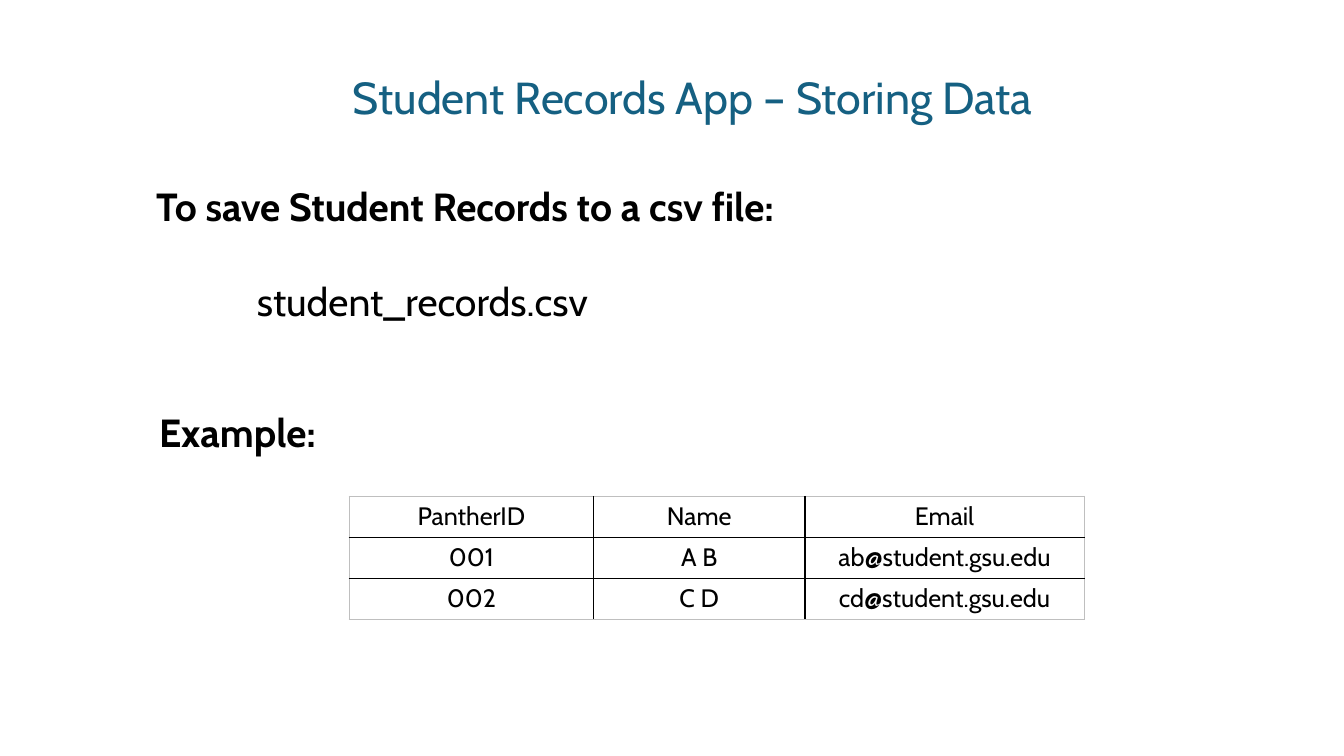
from lxml import etree
from pptx import Presentation
from pptx.dml.color import RGBColor
from pptx.enum import text as txt
from pptx.oxml import ns
from pptx.util import Pt

FONT = "Cabin"
TEAL = RGBColor(0x15, 0x60, 0x82)
BLACK = RGBColor(0, 0, 0)
WHITE = RGBColor(255, 255, 255)
GREY = RGBColor(0xBF, 0xBF, 0xBF)

RECORDS = [
    ("PantherID", "Name", "Email"),
    ("001", "A B", "ab@student.gsu.edu"),
    ("002", "C D", "cd@student.gsu.edu"),
]
WIDTHS = (174.5, 151, 199.5)
ROW = 29.3


def write(para, words, size=28, color=BLACK, bold=False,
          align=txt.PP_ALIGN.LEFT, before=0, indent=0):
    para.text = words
    para.alignment = align
    para.space_before = Pt(before)
    if indent:
        props = para._p.get_or_add_pPr()
        props.set("marL", str(Pt(indent)))
        props.set("indent", "0")
    font = para.font
    font.name, font.size, font.bold = FONT, Pt(size), bold
    font.color.rgb = color


def add_title(slide, words, left, top, width, height):
    title = slide.shapes.title
    title.left, title.top = Pt(left), Pt(top)
    title.width, title.height = Pt(width), Pt(height)
    frame = title.text_frame
    frame.word_wrap = False
    frame.vertical_anchor = txt.MSO_ANCHOR.MIDDLE
    write(frame.paragraphs[0], words, size=32, color=TEAL,
          align=txt.PP_ALIGN.CENTER)


def add_text(slide, left, top, width, height):
    """Return the frame of a new text box that does not wrap."""
    box = slide.shapes.add_textbox(Pt(left), Pt(top), Pt(width), Pt(height))
    box.text_frame.word_wrap = False
    return box.text_frame


def set_edges(cell, edges):
    """Draw cell borders from a dict of side letter to colour."""
    props = cell._tc.get_or_add_tcPr()
    for place, (side, color) in enumerate(edges.items()):
        line = etree.Element(ns.qn("a:ln" + side), w=str(Pt(1)))
        fill = etree.SubElement(line, ns.qn("a:solidFill"))
        etree.SubElement(fill, ns.qn("a:srgbClr"), val=str(color))
        props.insert(place, line)


def add_grid(slide, left, top, rows, widths, height):
    last_row, last_col = len(rows) - 1, len(widths) - 1
    table = slide.shapes.add_table(
        len(rows), len(widths), Pt(left), Pt(top),
        Pt(sum(widths)), Pt(height * len(rows))).table
    table.first_row = table.horz_banding = False
    for col, width in zip(table.columns, widths):
        col.width = Pt(width)
    for r, row in enumerate(rows):
        table.rows[r].height = Pt(height)
        for c, words in enumerate(row):
            cell = table.cell(r, c)
            cell.fill.solid()
            cell.fill.fore_color.rgb = WHITE
            write(cell.text_frame.paragraphs[0], words, size=18,
                  align=txt.PP_ALIGN.CENTER)
            set_edges(cell, {
                "L": BLACK if c else GREY,
                "R": BLACK if c < last_col else GREY,
                "T": BLACK if r else GREY,
                "B": BLACK if r < last_row else GREY,
            })


def main():
    deck = Presentation()
    deck.slide_width, deck.slide_height = Pt(960), Pt(540)
    slide = deck.slides.add_slide(deck.slide_layouts[5])

    add_title(slide, "Student Records App – Storing Data", 241, 46, 508, 46)

    save = add_text(slide, 104.4, 126.7, 487, 109)
    write(save.paragraphs[0], "To save Student Records to a csv file:",
          bold=True)
    write(save.add_paragraph(), "student_records.csv", before=34, indent=72)

    example = add_text(slide, 106.5, 288, 135, 41)
    write(example.paragraphs[0], "Example:", bold=True)

    add_grid(slide, 249.5, 354.7, RECORDS, WIDTHS, ROW)
    deck.save("out.pptx")


if __name__ == "__main__":
    main()
